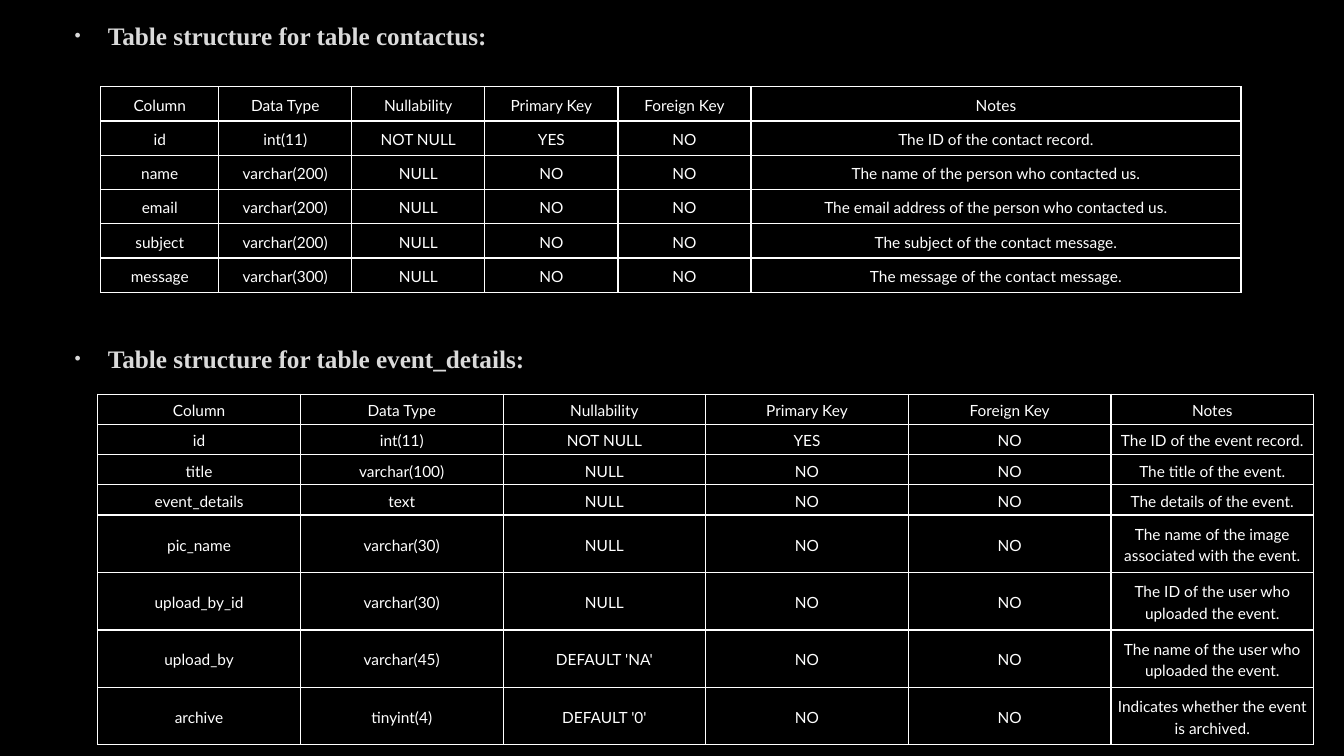
from dataclasses import dataclass

from lxml import etree
from pptx import Presentation
from pptx.dml.color import RGBColor
from pptx.enum.text import MSO_ANCHOR, MSO_AUTO_SIZE, PP_ALIGN
from pptx.oxml import parse_xml
from pptx.oxml.ns import nsdecls, qn
from pptx.util import Inches, Pt


@dataclass(frozen=True)
class Theme:
    background: str = "000000"
    heading: str = "DADADA"
    outline: str = "404040"
    grid: str = "FFFFFF"
    heading_font: str = "Times New Roman"
    cell_font: str = "Lato"
    heading_size: int = 18
    cell_size: int = 11


theme = Theme()

HEADER = ("Column", "Data Type", "Nullability", "Primary Key", "Foreign Key", "Notes")
CONTACT_ROWS = [
    HEADER,
    ("id", "int(11)", "NOT NULL", "YES", "NO", "The ID of the contact record."),
    ("name", "varchar(200)", "NULL", "NO", "NO", "The name of the person who contacted us."),
    ("email", "varchar(200)", "NULL", "NO", "NO",
     "The email address of the person who contacted us."),
    ("subject", "varchar(200)", "NULL", "NO", "NO", "The subject of the contact message."),
    ("message", "varchar(300)", "NULL", "NO", "NO", "The message of the contact message."),
]
EVENT_ROWS = [
    HEADER,
    ("id", "int(11)", "NOT NULL", "YES", "NO", "The ID of the event record."),
    ("title", "varchar(100)", "NULL", "NO", "NO", "The title of the event."),
    ("event_details", "text", "NULL", "NO", "NO", "The details of the event."),
    ("pic_name", "varchar(30)", "NULL", "NO", "NO",
     "The name of the image associated with the event."),
    ("upload_by_id", "varchar(30)", "NULL", "NO", "NO",
     "The ID of the user who uploaded the event."),
    ("upload_by", "varchar(45)", "DEFAULT 'NA'", "NO", "NO",
     "The name of the user who uploaded the event."),
    ("archive", "tinyint(4)", "DEFAULT '0'", "NO", "NO",
     "Indicates whether the event is archived."),
]


def add_borders(cell):
    """Draw a thin line on all four sides of a cell."""
    properties = cell._tc.get_or_add_tcPr()
    for index, side in enumerate(("lnL", "lnR", "lnT", "lnB")):
        properties.insert(index, parse_xml(
            f'<a:{side} {nsdecls("a")} w="{Pt(1)}"><a:solidFill>'
            f'<a:srgbClr val="{theme.grid}"/></a:solidFill></a:{side}>'))


def add_grid(page, left, top, widths, heights, rows):
    """Add a bordered table with centred text and no cell fill."""
    frame = page.shapes.add_table(len(rows), len(widths), Inches(left), Inches(top),
                                  Inches(sum(widths)), Inches(sum(heights)))
    table = frame.table
    table.first_row = table.horz_banding = False
    for column, width in zip(table.columns, widths):
        column.width = Inches(width)
    for row, height, texts in zip(table.rows, heights, rows):
        row.height = Inches(height)
        for cell, text in zip(row.cells, texts):
            cell.fill.background()
            add_borders(cell)
            cell.vertical_anchor = MSO_ANCHOR.MIDDLE
            cell.margin_left = cell.margin_right = Inches(0.03)
            cell.margin_top = cell.margin_bottom = Inches(0.02)
            para = cell.text_frame.paragraphs[0]
            para.text = text
            para.alignment = PP_ALIGN.CENTER
            para.line_spacing = 1.15
            para.font.name = theme.cell_font
            para.font.size = Pt(theme.cell_size)
            para.font.color.rgb = RGBColor.from_string(theme.grid)


# Page
deck = Presentation()
deck.slide_width, deck.slide_height = Inches(13.33), Inches(7.5)
page = deck.slides.add_slide(deck.slide_layouts.get_by_name("Title and Content"))
page.background.fill.solid()
page.background.fill.fore_color.rgb = RGBColor.from_string(theme.background)
title, body = page.placeholders
title.element.getparent().remove(title.element)

# Bulleted headings, the second one spaced below the first table
body.left, body.top = Inches(0.59), Inches(0.14)
body.width, body.height = Inches(12.43), Inches(7.16)
box = body.text_frame
box.auto_size = MSO_AUTO_SIZE.NONE
box.vertical_anchor = MSO_ANCHOR.TOP
box.margin_top = Inches(0.06)
box.text = "Table structure for table contactus:\nTable structure for table event_details:"
for para, space_before in zip(box.paragraphs, (0, 203)):
    para.space_before, para.space_after = Pt(space_before), Pt(6)
    para.font.name = theme.heading_font
    para.font.size = Pt(theme.heading_size)
    para.font.bold = True
    para.font.color.rgb = RGBColor.from_string(theme.heading)
    settings = para._p.get_or_add_pPr()
    settings.set("marL", str(Inches(0.38)))
    settings.set("indent", str(Inches(-0.33)))
    bullet = parse_xml(
        f'<a:bullet {nsdecls("a")}><a:buClr><a:srgbClr val="{theme.heading}"/></a:buClr>'
        '<a:buSzPct val="70000"/><a:buFont typeface="Arial"/><a:buChar char="•"/></a:bullet>')
    for part in list(bullet):
        settings.find(qn("a:defRPr")).addprevious(part)
    # Faint outline around the letters
    line = parse_xml(f'<a:ln {nsdecls("a")} w="{Pt(0.75)}"/>')
    fill = etree.SubElement(line, qn("a:solidFill"))
    color = etree.SubElement(fill, qn("a:srgbClr"), val=theme.outline)
    etree.SubElement(color, qn("a:alpha"), val="10000")
    para.runs[0]._r.get_or_add_rPr().insert(0, line)

# Tables
add_grid(page, 1, 0.86, [1.17] + [1.32] * 4 + [4.86], [0.34] * 6, CONTACT_ROWS)
add_grid(page, 0.97, 3.91, [2.01] * 6, [0.3] * 4 + [0.57] * 4, EVENT_ROWS)

deck.save("out.pptx")
